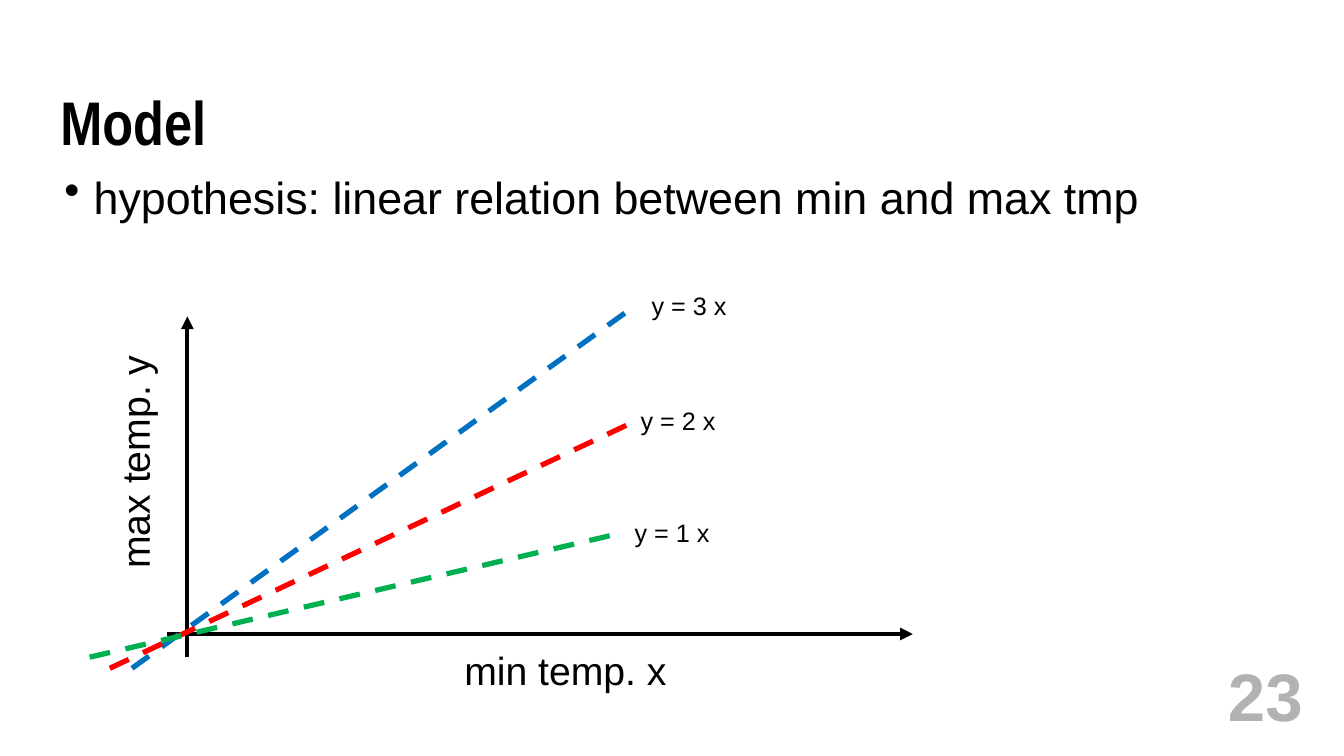
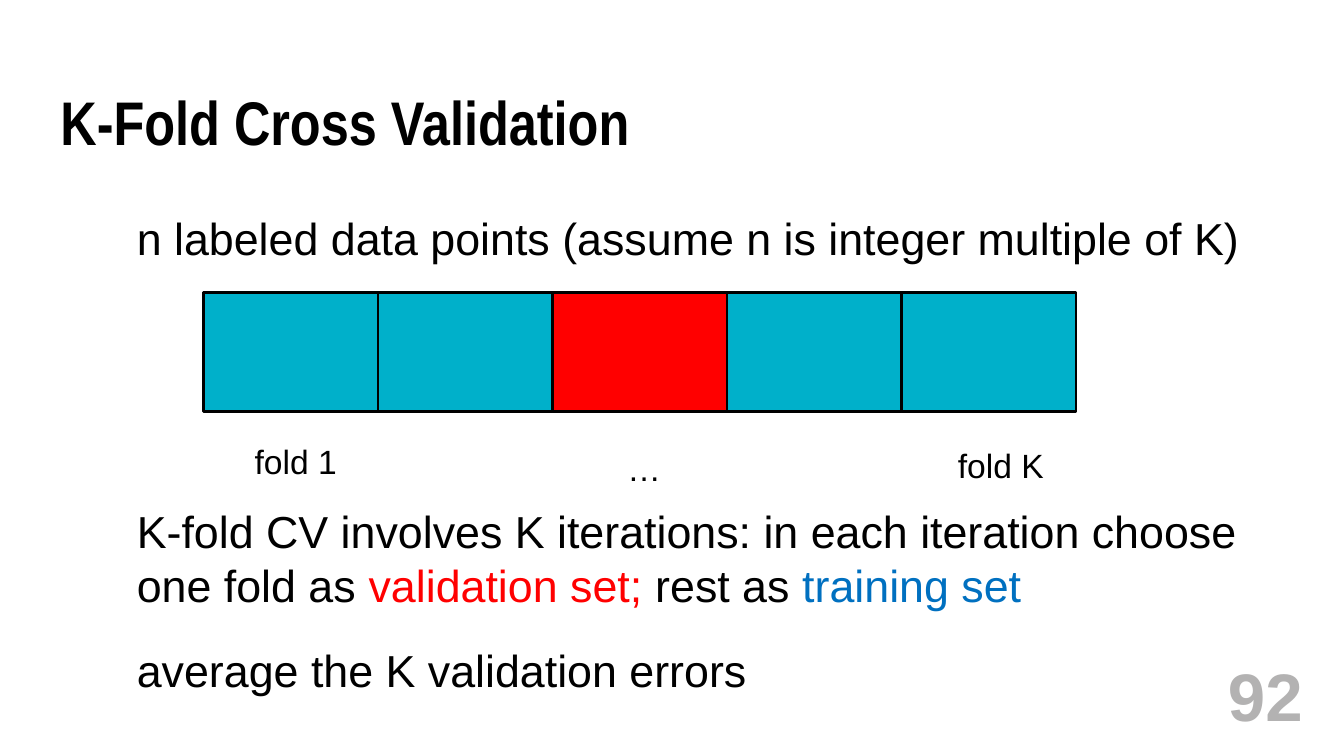
"""Build two slides on a linear model and on K-fold cross validation."""
import pptx
import pptx.chart.data
import pptx.dml.color
import pptx.enum.dml
import pptx.enum.shapes
import pptx.enum.text
import pptx.oxml
import pptx.oxml.ns
import pptx.util

Inches = pptx.util.Inches
Pt = pptx.util.Pt
ALIGN = pptx.enum.text.PP_ALIGN
ANCHOR = pptx.enum.text.MSO_ANCHOR

BLACK, GREY, RED, BLUE, GREEN, TEAL = "000000", "B3B2B2", "FF0000", "0070C0", "00B050", "00B0CA"

TITLE = {"size": Pt(44), "bold": True, "name": "Arial Narrow"}
NUMBER = {"size": Pt(48), "bold": True, "name": "Arial"}
BODY = {"size": Pt(32), "name": "Arial"}
AXIS = {"size": Pt(28), "name": "Arial"}
FOLD = {"size": Pt(24), "name": "Arial"}
EQUATION = {"size": Pt(18), "name": "Arial"}

HYPOTHESIS = "hypothesis: linear relation between min and max tmp"
AXES = [((1.66, 6.29), (9.06, 6.29)), ((1.86, 6.52), (1.86, 3.14))]
AXIS_LABELS = [("min temp. x", (4.51, 6.36, 2.45, 0.57), 0),
               ("max temp. y", (0.11, 4.23, 2.45, 0.57), 270)]
MODELS = [("y = 3 x", (6.37, 2.83), (1.31, 6.63), (6.28, 3.05), BLUE),
          ("y = 2 x", (6.26, 3.97), (1.09, 6.63), (6.28, 4.19), RED),
          ("y = 1 x", (6.2, 5.08), (0.89, 6.52), (6.16, 5.29), GREEN)]

FOLD_COLOURS = [TEAL, TEAL, RED, TEAL, TEAL]
FOLD_LEFT, FOLD_TOP, FOLD_TOTAL_WIDTH, FOLD_HEIGHT = 2.02, 2.9, 8.66, 1.18
FOLD_LABELS = [("fold 1", (2.43, 4.33, 1.03, 0.5)),
               ("fold K", (9.41, 4.36, 1.06, 0.5)),
               ("…", (6.13, 4.39, 0.54, 0.5))]
STATEMENTS = [
    ([[("n labeled data points (assume n is integer multiple of K)", BLACK)]],
     (1.26, 2.04, 11.36, 0.64)),
    ([[("K-fold CV involves K iterations: in each iteration choose", BLACK)],
      [("one fold as ", BLACK), ("validation set; ", RED), ("rest as ", BLACK),
       ("training set", BLUE)]],
     (1.26, 4.95, 11.34, 1.18)),
    ([[("average the K validation errors", BLACK)]], (1.26, 6.33, 6.3, 0.64)),
]


def colour(value):
    """Turn a hex string into a colour."""
    return pptx.dml.color.RGBColor.from_string(value)


def apply_format(target, values):
    """Set each named attribute on the target."""
    for name, value in values.items():
        setattr(target, name, value)


def add_text(slide, paragraphs, box, font, margin=None, wrap=False):
    """Add a text box whose paragraphs are lists of (text, colour) runs."""
    shape = slide.shapes.add_textbox(*map(Inches, box))
    frame = shape.text_frame
    fit = pptx.enum.text.MSO_AUTO_SIZE
    apply_format(frame, {"word_wrap": wrap,
                         "auto_size": fit.NONE if wrap else fit.SHAPE_TO_FIT_TEXT})
    if margin is not None:
        sides = ("left", "top", "right", "bottom")
        apply_format(frame, {f"margin_{side}": Inches(margin) for side in sides})
    for index, runs in enumerate(paragraphs):
        paragraph = frame.add_paragraph() if index else frame.paragraphs[0]
        for text, value in runs:
            run = paragraph.add_run()
            run.text = text
            apply_format(run.font, font)
            run.font.color.rgb = colour(value)
    return shape


def add_label(slide, text, box, font):
    """Add a single black line of text."""
    return add_text(slide, [[(text, BLACK)]], box, font)


def add_line(slide, start, end, value, width, dashed=False):
    """Add a dashed line, or a solid one with an arrowhead."""
    straight = pptx.enum.shapes.MSO_CONNECTOR.STRAIGHT
    connector = slide.shapes.add_connector(straight, *map(Inches, start + end))
    connector.line.color.rgb = colour(value)
    connector.line.width = Pt(width)
    if dashed:
        connector.line.dash_style = pptx.enum.dml.MSO_LINE.DASH
    else:
        head = pptx.oxml.parse_xml(
            f'<a:tailEnd {pptx.oxml.ns.nsdecls("a")} type="triangle"/>')
        connector.line._get_or_add_ln().append(head)
    connector._element.spPr.append(
        pptx.oxml.parse_xml(f'<a:effectLst {pptx.oxml.ns.nsdecls("a")}/>'))


def add_bullet(paragraph):
    """Give a paragraph a hanging bullet."""
    properties = paragraph._p.get_or_add_pPr()
    properties.set("marL", str(Inches(0.29)))
    properties.set("indent", str(-Inches(0.29)))
    properties.append(pptx.oxml.parse_xml(
        f'<a:buChar {pptx.oxml.ns.nsdecls("a")} char="•"/>'))


def add_slide(presentation, title, number):
    """Add a slide with the shared title and slide number."""
    slide = presentation.slides.add_slide(presentation.slide_layouts[6])
    heading = add_text(slide, [[(title, BLACK)]], (0.6, 0.92, 12.13, 0.67), TITLE, 0, True)
    heading.text_frame.paragraphs[0].line_spacing = 0.9
    footer = add_text(slide, [[(number, GREY)]], (10.92, 6.58, 2.05, 0.63), NUMBER, 0.04, True)
    footer.text_frame.vertical_anchor = ANCHOR.MIDDLE
    footer.text_frame.paragraphs[0].alignment = ALIGN.RIGHT
    return slide


def build_model(presentation):
    """Draw the three candidate lines on a pair of axes."""
    slide = add_slide(presentation, "Model", "23")
    body = add_text(slide, [[(HYPOTHESIS, BLACK)]], (0.6, 1.64, 12.13, 0.57), BODY, 0.04, True)
    paragraph = body.text_frame.paragraphs[0]
    add_bullet(paragraph)
    paragraph.space_after = Pt(6)
    for start, end in AXES:
        add_line(slide, start, end, BLACK, 3)
    for text, box, rotation in AXIS_LABELS:
        add_label(slide, text, box, AXIS).rotation = rotation
    for text, position, start, end, value in MODELS:
        add_line(slide, start, end, value, 3.75, dashed=True)
        add_label(slide, text, position + (1.02, 0.4), EQUATION)


def build_folds(presentation):
    """Draw the row of folds and the statements around it."""
    slide = add_slide(presentation, "K-Fold Cross Validation", "92")
    width = FOLD_TOTAL_WIDTH / len(FOLD_COLOURS)
    for index, value in enumerate(FOLD_COLOURS):
        box = (FOLD_LEFT + index * width, FOLD_TOP, width, FOLD_HEIGHT)
        shape = slide.shapes.add_shape(
            pptx.enum.shapes.MSO_SHAPE.RECTANGLE, *map(Inches, box))
        shape.shadow.inherit = False
        shape.fill.solid()
        shape.fill.fore_color.rgb = colour(value)
        shape.line.color.rgb = colour(BLACK)
        shape.line.width = Pt(2)
    for text, box in FOLD_LABELS:
        add_label(slide, text, box, FOLD)
    for paragraphs, box in STATEMENTS:
        add_text(slide, paragraphs, box, BODY)


def main():
    """Build and save the presentation."""
    presentation = pptx.Presentation()
    apply_format(presentation, {"slide_width": Inches(13.34), "slide_height": Inches(7.5)})
    build_model(presentation)
    build_folds(presentation)
    presentation.save("out.pptx")


if __name__ == "__main__":
    main()
